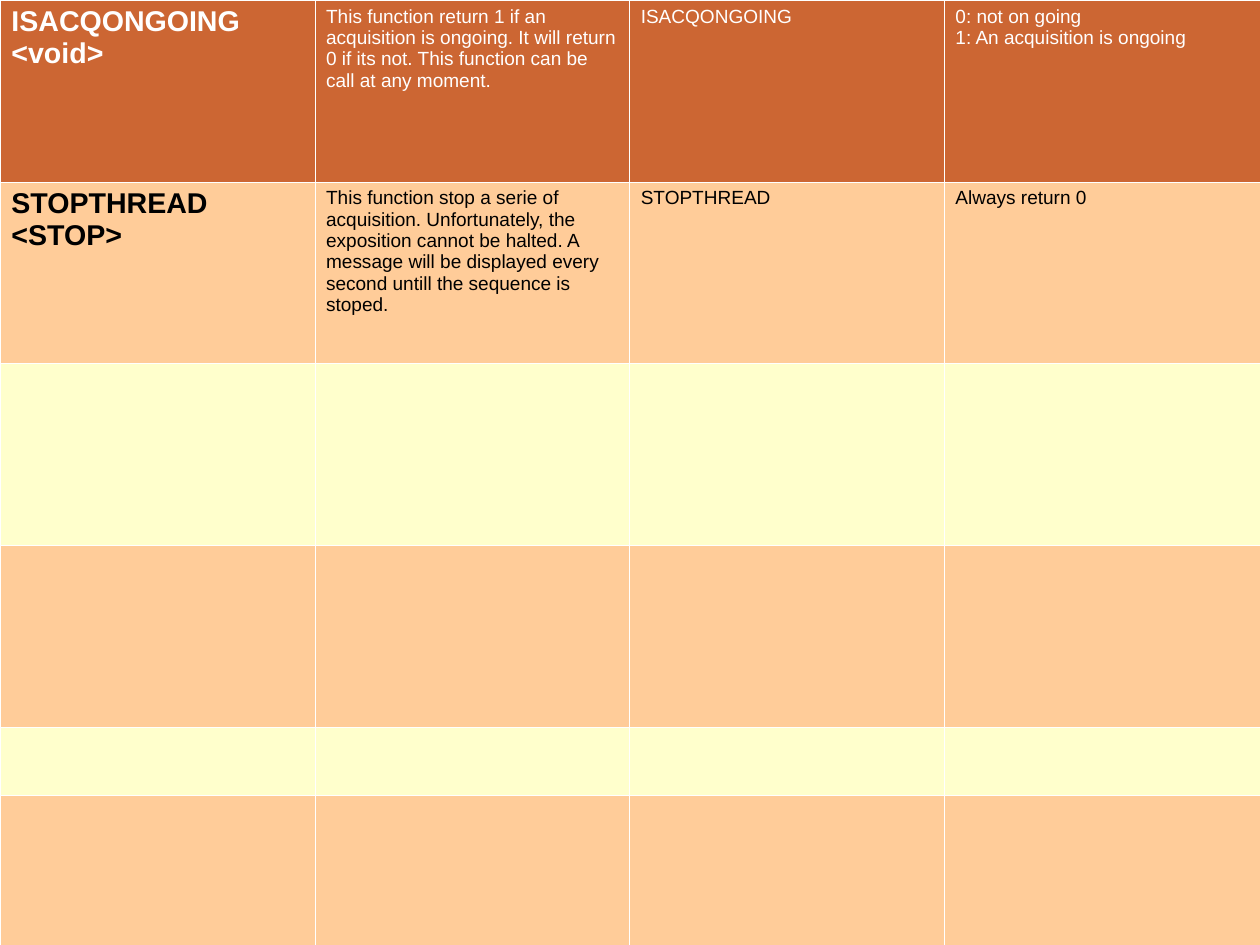
from lxml import etree
from pptx import Presentation
from pptx.dml.color import RGBColor
from pptx.oxml import ns
from pptx.util import Inches, Pt

WHITE = RGBColor(0xFF, 0xFF, 0xFF)
BLACK = RGBColor(0x00, 0x00, 0x00)
RUST = RGBColor(0xCC, 0x66, 0x33)
PEACH = RGBColor(0xFF, 0xCC, 0x99)
CREAM = RGBColor(0xFF, 0xFF, 0xCC)

CM_PER_INCH = 2.54
SLIDE_WIDTH, SLIDE_HEIGHT = 28 / CM_PER_INCH, 21 / CM_PER_INCH
ROW_HEIGHTS = [1.59] * 4 + [0.6, 1.31]
COLUMN_WIDTHS = [2.75] * 3 + [2.76]
BORDER_WIDTH = Pt(0.06)

COMMANDS = [
    ["ISACQONGOING <void>",
     "This function return 1 if an  acquisition is ongoing. It will return 0 "
     "if its not. This function can be call at any moment.",
     "ISACQONGOING",
     "0: not on going\n1: An acquisition is ongoing"],
    ["STOPTHREAD <STOP>",
     "This function stop a serie of acquisition. Unfortunately, the exposition "
     "cannot be halted. A message will be displayed every second untill the "
     "sequence is stoped.",
     "STOPTHREAD",
     "Always return 0"],
]


def set_borders(cell, color):
    """Draw a hairline on all four sides of a cell."""
    properties = cell._tc.get_or_add_tcPr()
    for side in ("lnL", "lnR", "lnT", "lnB"):
        line = etree.SubElement(properties, ns.qn(f"a:{side}"), w=str(BORDER_WIDTH))
        fill = etree.SubElement(line, ns.qn("a:solidFill"))
        etree.SubElement(fill, ns.qn("a:srgbClr"), val=str(color))


def format_cell(cell, content, fill_color, font_color, is_name):
    """Fill one cell and set its text, larger and bold for a command name."""
    set_borders(cell, WHITE)
    cell.fill.solid()
    cell.fill.fore_color.rgb = fill_color
    cell.text = content
    for paragraph in cell.text_frame.paragraphs:
        font = paragraph.font
        font.name = "Arial"
        font.size = Pt(18 if is_name else 12)
        font.bold = is_name
        font.color.rgb = font_color


def add_command_table(slide, left, top, width, height):
    """Place the command table in the given box, in inches."""
    frame = slide.shapes.add_table(
        len(ROW_HEIGHTS), len(COLUMN_WIDTHS),
        Inches(left), Inches(top), Inches(width), Inches(height))
    table = frame.table
    table.horz_banding = False
    for column, share in zip(table.columns, COLUMN_WIDTHS):
        column.width = Inches(width * share / sum(COLUMN_WIDTHS))
    for index, row in enumerate(table.rows):
        row.height = Inches(height * ROW_HEIGHTS[index] / sum(ROW_HEIGHTS))
        is_header = index == 0
        fill_color = RUST if is_header else (PEACH if index % 2 else CREAM)
        font_color = WHITE if is_header else BLACK
        contents = COMMANDS[index] if index < len(COMMANDS) else [""] * len(COLUMN_WIDTHS)
        for position, (cell, content) in enumerate(zip(row.cells, contents)):
            format_cell(cell, content, fill_color, font_color, position == 0)


def main():
    """Build the slide and save it."""
    presentation = Presentation()
    presentation.slide_width = Inches(SLIDE_WIDTH)
    presentation.slide_height = Inches(SLIDE_HEIGHT)
    slide = presentation.slides.add_slide(presentation.slide_layouts[6])
    add_command_table(slide, 0, 0, SLIDE_WIDTH, SLIDE_HEIGHT)
    presentation.save("out.pptx")


main()
